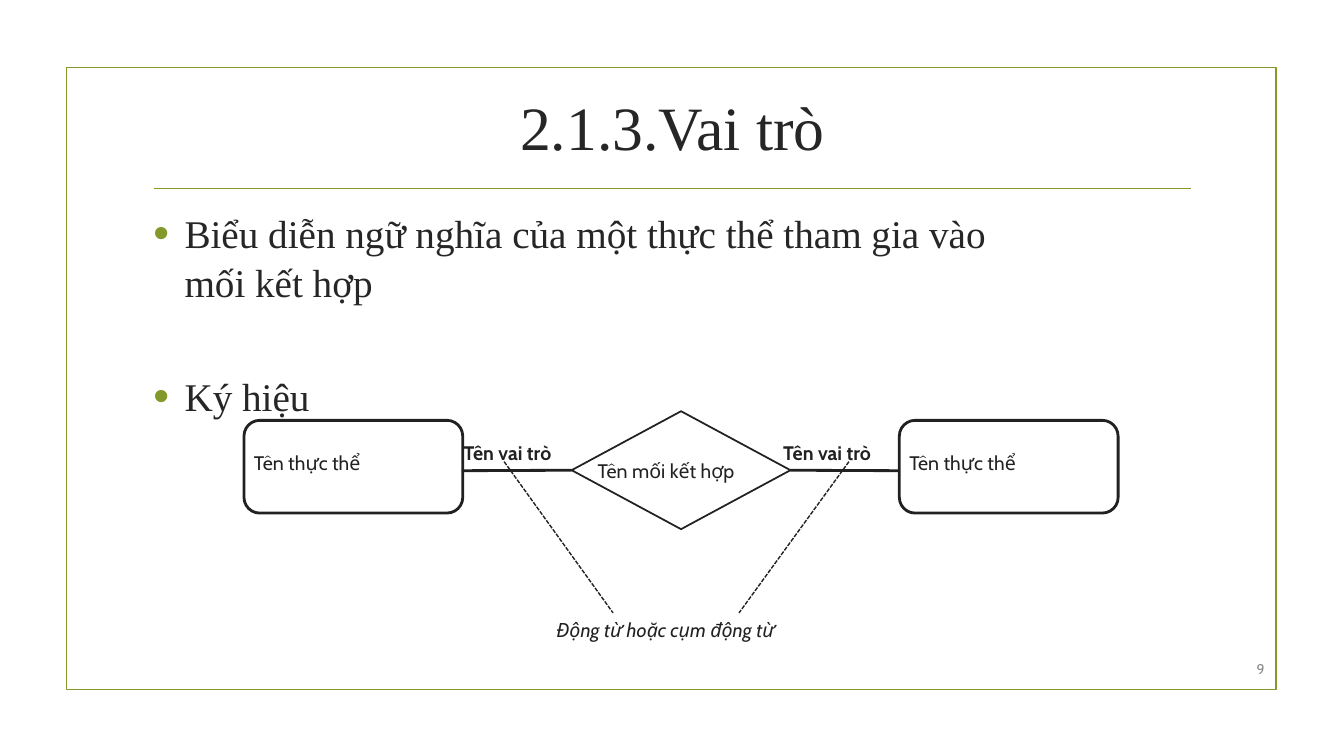
import pptx
import pptx.dml.color
import pptx.enum.dml
import pptx.enum.shapes
import pptx.enum.text
import pptx.oxml
import pptx.oxml.ns
import pptx.util
from pptx.util import Inches

RGBColor = pptx.dml.color.RGBColor
Pt = pptx.util.Pt
ALIGN = pptx.enum.text.PP_ALIGN
ANCHOR = pptx.enum.text.MSO_ANCHOR
SHAPE = pptx.enum.shapes.MSO_SHAPE
DASH = pptx.enum.dml.MSO_LINE

GREEN = RGBColor(0x83, 0x99, 0x2A)
HEADING = RGBColor(0x26, 0x26, 0x26)
INK = RGBColor(0x21, 0x21, 0x21)
GRAY = RGBColor(0x89, 0x89, 0x89)
WHITE = RGBColor(0xFF, 0xFF, 0xFF)
SERIF = "Times New Roman"
SANS = "Cabin"
BULLETS = ["Biểu diễn ngữ nghĩa của một thực thể tham gia vào mối kết hợp", "Ký hiệu"]


def place(shape, left, top, width, height):
    shape.left, shape.top = Inches(left), Inches(top)
    shape.width, shape.height = Inches(width), Inches(height)


def write(paragraph, text, size=14, font=SANS, color=INK, bold=False,
          italic=False, align=ALIGN.LEFT):
    paragraph.alignment = align
    run = paragraph.add_run()
    run.text = text
    run.font.size = Pt(size)
    run.font.name = font
    run.font.color.rgb = color
    run.font.bold = bold
    run.font.italic = italic


def add_label(slide, text, left, top, width, height=0.34, anchor=ANCHOR.TOP, **style):
    box = slide.shapes.add_textbox(
        Inches(left), Inches(top), Inches(width), Inches(height))
    box.text_frame.word_wrap = True
    box.text_frame.vertical_anchor = anchor
    write(box.text_frame.paragraphs[0], text, **style)


def add_outline(slide, kind, left, top, width, height, color=INK, weight=1.25, fill=None):
    shape = slide.shapes.add_shape(
        kind, Inches(left), Inches(top), Inches(width), Inches(height))
    shape.shadow.inherit = False
    if fill is None:
        shape.fill.background()
    else:
        shape.fill.solid()
        shape.fill.fore_color.rgb = fill
    shape.line.color.rgb = color
    shape.line.width = Pt(weight)
    return shape


def add_line(slide, start, end, color=INK, weight=2.0, dash=None):
    line = slide.shapes.add_connector(
        pptx.enum.shapes.MSO_CONNECTOR.STRAIGHT,
        Inches(start[0]), Inches(start[1]), Inches(end[0]), Inches(end[1]))
    line.line.color.rgb = color
    line.line.width = Pt(weight)
    if dash is not None:
        line.line.dash_style = dash
    properties = line._element.spPr
    properties.append(pptx.oxml.parse_xml(
        f'<a:effectLst {pptx.oxml.ns.nsdecls("a")}/>'))
    return line


def add_bullet(paragraph):
    properties = paragraph._p.get_or_add_pPr()
    properties.set("marL", str(Inches(0.31)))
    properties.set("indent", str(-Inches(0.31)))
    namespace = pptx.oxml.ns.nsdecls("a")
    for element in (f'<a:buClr {namespace}><a:srgbClr val="{GREEN}"/></a:buClr>',
                    f'<a:buSzPct {namespace} val="115000"/>',
                    f'<a:buFont {namespace} typeface="Arial"/>',
                    f'<a:buChar {namespace} char="•"/>'):
        properties.append(pptx.oxml.parse_xml(element))


def fill_title(slide):
    title = slide.shapes.title
    place(title, 1.42, 0.68, 10.5, 1.14)
    title.text_frame.vertical_anchor = ANCHOR.MIDDLE
    title.text_frame.auto_size = pptx.enum.text.MSO_AUTO_SIZE.NONE
    write(title.text_frame.paragraphs[0], "2.1.3.Vai trò", size=44, font=SERIF,
          color=HEADING, align=ALIGN.CENTER)


def fill_body(slide):
    body = slide.placeholders[1]
    place(body, 1.42, 2, 9.08, 3.66)
    frame = body.text_frame
    frame.auto_size = pptx.enum.text.MSO_AUTO_SIZE.NONE
    for index, text in enumerate(BULLETS):
        paragraph = frame.add_paragraph() if index else frame.paragraphs[0]
        add_bullet(paragraph)
        paragraph.line_spacing = 1.05
        paragraph.space_before = Pt(40 if index else 0)
        paragraph.space_after = Pt(6)
        write(paragraph, text, size=28, font=SERIF, color=HEADING)


def add_diagram(slide):
    diamond = add_outline(slide, SHAPE.DIAMOND, 5.67, 4.08, 2.17, 1.17, fill=WHITE)
    add_label(slide, "Tên mối kết hợp", 5.83, 4.5, 1.83)
    add_label(slide, "Động từ hoặc cụm động từ", 5.42, 6.08, 2.67, italic=True)

    # Entity left, entity edge facing the diamond, diamond site, role left, verb line ends
    sides = [(2.42, 4.58, 1, 4.5, 5, 6.08), (8.92, 8.92, 3, 7.67, 8.42, 7.33)]
    for entity_left, edge, site, role_left, role_x, verb_x in sides:
        entity = add_outline(slide, SHAPE.ROUNDED_RECTANGLE, entity_left, 4.17,
                             2.17, 0.92, weight=2, fill=WHITE)
        entity.adjustments[0] = 0.17
        add_label(slide, "Tên thực thể", entity_left, 4.42, 2.17)
        link = add_line(slide, (edge, 4.67), (edge, 4.67))
        link.end_connect(diamond, site)
        add_label(slide, "Tên vai trò", role_left, 4.33, 1.33, bold=True)
        add_line(slide, (role_x, 4.58), (verb_x, 6.08), weight=1, dash=DASH.SQUARE_DOT)


def main():
    presentation = pptx.Presentation()
    presentation.slide_width = Inches(13.33)
    presentation.slide_height = Inches(7.5)
    slide = presentation.slides.add_slide(presentation.slide_layouts[1])
    add_outline(slide, SHAPE.RECTANGLE, 0.66, 0.67, 12, 6.17, color=GREEN)
    add_line(slide, (1.53, 1.87), (11.81, 1.87), color=GREEN, weight=1.25)
    fill_title(slide)
    fill_body(slide)
    add_label(slide, "9", 12.05, 6.48, 0.59, 0.31, anchor=ANCHOR.MIDDLE,
              size=10, color=GRAY, align=ALIGN.RIGHT)
    add_diagram(slide)
    presentation.save("out.pptx")


if __name__ == "__main__":
    main()
